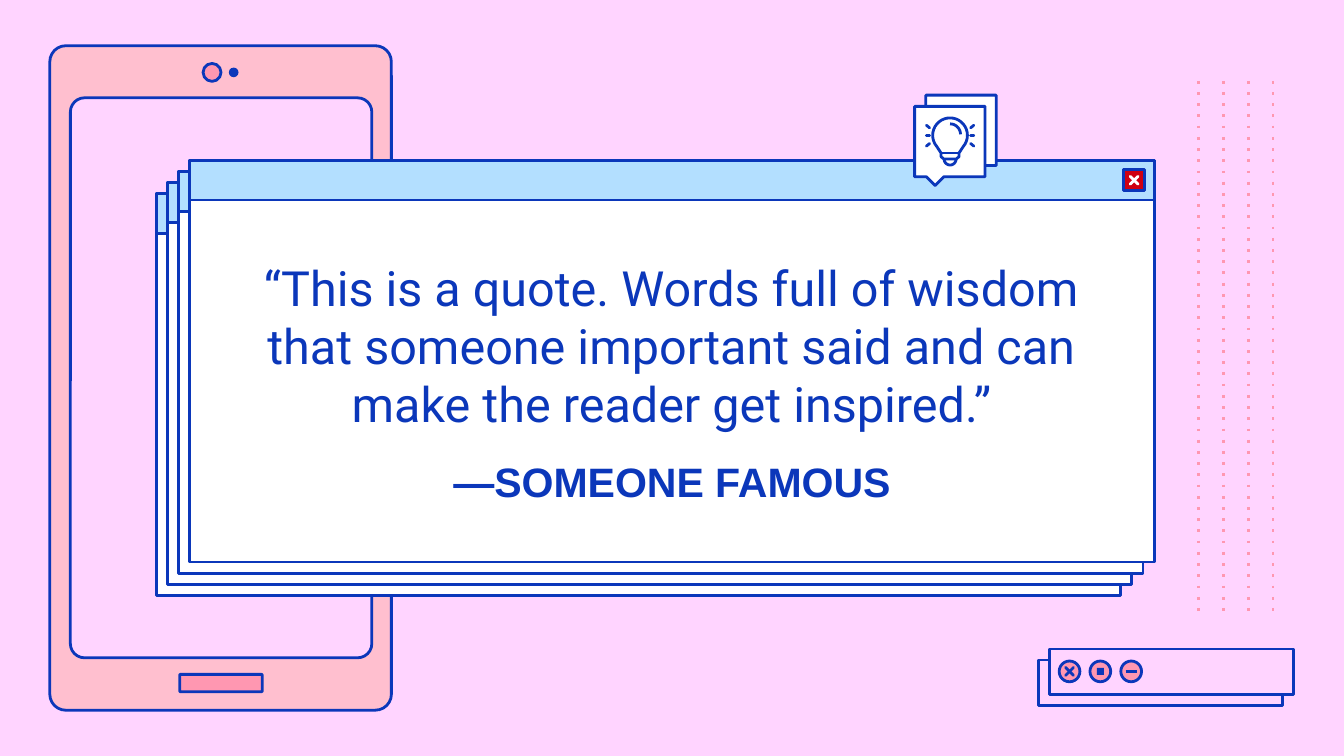
"""Build a quote slide with a phone, stacked windows and a light-bulb note."""
import math
import lxml.etree
import pptx
import pptx.dml.color
import pptx.enum.shapes
import pptx.enum.text
import pptx.oxml.ns
import pptx.util

Pt = pptx.util.Pt
qn = pptx.oxml.ns.qn
SHAPE = pptx.enum.shapes.MSO_SHAPE
COLORS = {
    "back": "FFD4FF", "ink": "0B37BA", "phone": "FFBFCF", "rose": "FF97B1",
    "bar": "B3DFFF", "white": "FFFFFF", "close": "CF0011",
}


def rgb(name):
    return pptx.dml.color.RGBColor.from_string(COLORS[name])


def arc(cx, cy, radius, start, end, step=10):
    angles = [math.radians(a) for a in range(start, end + 1, step)]
    return [(cx + radius * math.cos(a), cy + radius * math.sin(a)) for a in angles]


class Deck:
    def __init__(self, s, weight=1.5):
        self.s = s
        self.weight = weight

    def stroke(self, sp, color):
        sp.line.color.rgb = rgb(color)
        sp.line.width = Pt(self.weight)

    def shape(self, kind, x, y, w, h, fill, line="ink", adj=()):
        sp = self.s.shapes.add_shape(kind, Pt(x), Pt(y), Pt(w), Pt(h))
        sp.shadow.inherit = False
        sp.fill.solid()
        sp.fill.fore_color.rgb = rgb(fill)
        if line:
            self.stroke(sp, line)
        else:
            sp.line.fill.background()
        for i, value in enumerate(adj):
            sp.adjustments[i] = value
        return sp

    def circle(self, cx, cy, d, fill, line="ink"):
        return self.shape(SHAPE.OVAL, cx - d / 2, cy - d / 2, d, d, fill, line)

    def line(self, x1, y1, x2, y2, color="ink", dash=None, cap="flat"):
        c = self.s.shapes.add_connector(
            pptx.enum.shapes.MSO_CONNECTOR.STRAIGHT, Pt(x1), Pt(y1), Pt(x2), Pt(y2))
        self.stroke(c, color)
        ln = c.element.spPr.find(qn("a:ln"))
        ln.set("cap", cap)
        if dash:
            lxml.etree.SubElement(ln, qn("a:prstDash"), val=dash)
        lxml.etree.SubElement(c.element.spPr, qn("a:effectLst"))
        return c

    def cross(self, cx, cy, half, color):
        for k in (-half, half):
            self.line(cx - half, cy - k, cx + half, cy + k, color, cap="rnd")

    def outline(self, points, close=False):
        points = [(Pt(x), Pt(y)) for x, y in points]
        builder = self.s.shapes.build_freeform(*points[0], scale=1.0)
        builder.add_line_segments(points[1:], close=close)
        sp = builder.convert_to_shape()
        sp.shadow.inherit = False
        sp.fill.background()
        self.stroke(sp, "ink")
        return sp

    def text(self, sp, text, x, y, w, h, font):
        box = {"left": x, "top": y, "width": w, "height": h}
        for name, value in box.items():
            setattr(sp, name, Pt(value))
        tf = sp.text_frame
        frame = {
            "word_wrap": True,
            "auto_size": pptx.enum.text.MSO_AUTO_SIZE.NONE,
            "vertical_anchor": pptx.enum.text.MSO_ANCHOR.MIDDLE,
        }
        frame.update({f"margin_{side}": Pt(7.2) for side in ("left", "top", "right", "bottom")})
        for name, value in frame.items():
            setattr(tf, name, value)
        p = tf.paragraphs[0]
        p.alignment = pptx.enum.text.PP_ALIGN.CENTER
        p.space_before = Pt(0)
        r = p.add_run()
        r.text = text
        for name, value in font.items():
            setattr(r.font, name, value)
        r.font.color.rgb = rgb("ink")
        sp.element.getparent().append(sp.element)

    def phone(self):
        for x, y, w, h, fill in (
            (26.7, 24.5, 183, 356, "phone"),
            (96.3, 361.3, 44.2, 9.3, "rose"),
            (37.7, 52.4, 161.5, 300, "back"),
        ):
            self.shape(SHAPE.ROUNDED_RECTANGLE, x, y, w, h, fill, adj=[0.047])
        self.circle(113.6, 38.8, 9.6, "rose")
        self.circle(125.2, 38.8, 5.2, "ink", None)

    def dots(self):
        for i in range(4):
            x = 642.1 + 13.3 * i
            self.line(x, 43.3, x, 328, "rose", dash="dot")

    def toolbar(self):
        for x, y in ((556.3, 353.6), (562.4, 347.7)):
            self.shape(SHAPE.RECTANGLE, x, y, 130.6, 24.3, "back")
        y = 359.7
        xs = [573 + 16.5 * i for i in range(3)]
        for x in xs:
            self.circle(x, y, 11.1, "rose")
        self.cross(xs[0], y, 2.1, "ink")
        self.shape(SHAPE.RECTANGLE, xs[1] - 1.9, y - 1.9, 3.8, 3.8, "ink", None)
        self.line(xs[2] - 3, y, xs[2] + 3, y)

    def windows(self):
        for i in range(4):
            x, y = 83.7 + 6 * i, 103.8 - 6 * i
            for h, fill in ((215.3, "white"), (21.4, "bar")):
                self.shape(SHAPE.RECTANGLE, x, y, 516.6, h, fill)
        self.shape(SHAPE.RECTANGLE, 602, 91, 11.2, 11.2, "close")
        self.cross(607.6, 96.6, 2.1, "white")

    def bulb(self):
        for x, y in ((496, 51), (490, 57)):
            self.shape(SHAPE.RECTANGULAR_CALLOUT, x, y, 37.7, 37.7, "white", adj=[-0.208, 0.625])
        cx, cy = 509, 72.5
        glass = arc(cx, cy, 9.3, 140, 400)
        neck = [(4.8, 82), (4.8, 84), (3.3, 85.2), (-3.3, 85.2), (-4.8, 84), (-4.8, 82)]
        self.outline(glass + [(cx + dx, y) for dx, y in neck], close=True)
        self.line(cx - 4.8, 82, cx + 4.8, 82)
        self.outline(arc(cx, 85.2, 3.2, 0, 180))
        self.outline(arc(cx, cy - 0.5, 5.6, -90, 0))
        for side in (-1, 1):
            for dy1, dy2 in ((-4, -5.4), (0.2, 0.2), (4.4, 5.8)):
                self.line(cx + 11 * side, cy + dy1, cx + 12.7 * side, cy + dy2, cap="rnd")


def main():
    prs = pptx.Presentation()
    prs.slide_width, prs.slide_height = Pt(720), Pt(405)
    s = prs.slides.add_slide(prs.slide_layouts[0])
    s.background.fill.solid()
    s.background.fill.fore_color.rgb = rgb("back")
    deck = Deck(s)
    deck.phone()
    deck.dots()
    deck.toolbar()
    deck.windows()
    deck.text(s.shapes.title, "—SOMEONE FAMOUS", 129.6, 241.9, 460.8, 31.7,
              {"name": "Arial", "size": Pt(22), "bold": True})
    deck.text(s.placeholders[1],
              "“This is a quote. Words full of wisdom that someone important "
              "said and can make the reader get inspired.”",
              129.6, 126.7, 460.8, 116.6,
              {"name": "Roboto", "size": Pt(26), "bold": False})
    deck.bulb()
    prs.save("out.pptx")


if __name__ == "__main__":
    main()
